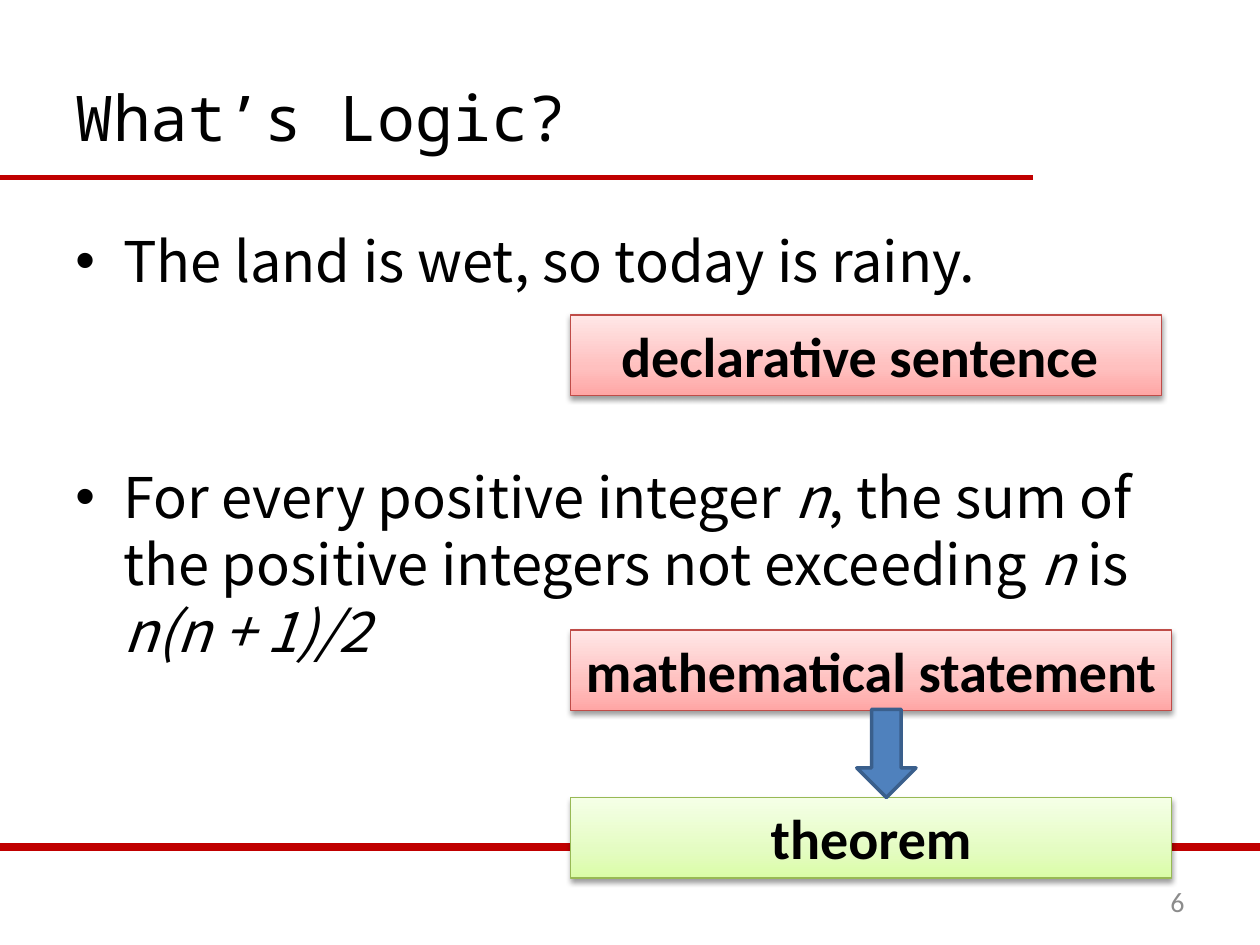
from lxml import etree
from pptx import Presentation, util as u
from pptx.dml import color
from pptx.enum import shapes, text
from pptx.oxml import ns

PX = 9144
RED, BLACK = "C00000", "000000"
BODY_FONT, LABEL_FONT = "Noto Sans CJK SC", "Calibri"
PINK = ("FFA6A5", "FFC0BF", "FFE7E7")
GREEN = ("DAFDA7", "E4FCC2", "F5FFE7")


def px(*lengths):
    return [u.Emu(length * PX) for length in lengths]


def paint(target, value):
    target.rgb = color.RGBColor.from_string(value)


def add_element(parent, tag, **attributes):
    element = etree.SubElement(parent, ns.qn(tag))
    for name, value in attributes.items():
        element.set(name, str(value))
    return element


def style(span, size, font, tint=BLACK, bold=False, italic=False):
    span.font.size = u.Pt(size)
    span.font.name = font
    span.font.bold = bold
    span.font.italic = italic
    paint(span.font.color, tint)


def add_line(page, width, y, weight):
    line = page.shapes.add_connector(shapes.MSO_CONNECTOR.STRAIGHT, *px(0, y, width, y))
    paint(line.line.color, RED)
    line.line.width = u.Pt(weight)
    add_element(line._element.spPr, "a:effectLst")


def add_text(page, box, words, size, font, tint=BLACK, align=text.PP_ALIGN.LEFT):
    shape = page.shapes.add_textbox(*px(*box))
    frame = shape.text_frame
    frame.word_wrap = True
    frame.vertical_anchor = text.MSO_ANCHOR.MIDDLE
    frame.text = words
    para = frame.paragraphs[0]
    para.alignment = align
    style(para.runs[0], size, font, tint)


def add_bullets(page, box, items):
    frame = page.shapes.add_textbox(*px(*box)).text_frame
    frame.word_wrap = True
    for index, (gap, spans) in enumerate(items):
        para = frame.add_paragraph() if index else frame.paragraphs[0]
        para.space_before = u.Pt(gap)
        para.line_spacing = u.Pt(38.5)
        properties = para._p.get_or_add_pPr()
        properties.set("marL", str(38 * PX))
        properties.set("indent", str(-38 * PX))
        add_element(properties, "a:buFont", typeface="Arial")
        add_element(properties, "a:buChar", char="•")
        for words, italic in spans:
            span = para.add_run()
            span.text = words
            style(span, 32, BODY_FONT, italic=italic)


def add_label(page, box, words, tints, edge, wrap=True):
    label = page.shapes.add_shape(shapes.MSO_SHAPE.RECTANGLE, *px(*box))
    label.fill.gradient()
    label.fill.gradient_angle = 90
    stops = label._element.spPr.find(".//" + ns.qn("a:gsLst"))
    for stop in list(stops):
        stops.remove(stop)
    for position, tint in zip((0, 35000, 100000), tints):
        add_element(add_element(stops, "a:gs", pos=position), "a:srgbClr", val=tint)
    paint(label.line.color, edge)
    label.line.width = u.Pt(0.75)
    label.shadow.inherit = False
    effects = label._element.spPr.find(ns.qn("a:effectLst"))
    shadow = add_element(effects, "a:outerShdw", blurRad=40000, dist=20000,
                         dir=5400000, rotWithShape=0)
    add_element(add_element(shadow, "a:srgbClr", val=BLACK), "a:alpha", val=38000)
    frame = label.text_frame
    frame.word_wrap = wrap
    frame.vertical_anchor = text.MSO_ANCHOR.TOP
    frame.text = words
    frame.paragraphs[0].alignment = text.PP_ALIGN.CENTER
    style(frame.paragraphs[0].runs[0], 32, LABEL_FONT, bold=True)


def add_arrow(page, box):
    arrow = page.shapes.add_shape(shapes.MSO_SHAPE.DOWN_ARROW, *px(*box))
    arrow.shadow.inherit = False
    arrow.fill.solid()
    paint(arrow.fill.fore_color, "4F81BD")
    paint(arrow.line.color, "3A5F8C")
    arrow.line.width = u.Pt(2)


def main():
    deck = Presentation()
    deck.slide_width, deck.slide_height = px(1000, 750)
    page = deck.slides.add_slide(deck.slide_layouts[6])
    add_line(page, 820, 141, 3)
    add_line(page, 1000, 672, 4.5)
    add_text(page, (50, 30, 900, 125), "What’s Logic?", 36, "Noto Sans Mono")
    add_bullets(page, (50, 175, 900, 495), [
        (6.4, [("The land is wet, so today is rainy.", False)]),
        (96, [("For every positive integer ", False), ("n", True),
              (", the sum of the positive integers not exceeding ", False),
              ("n ", True), ("is ", False), ("n(n + 1)/2", True)]),
    ])
    add_text(page, (717, 695, 233, 40), "6", 16, LABEL_FONT, "8C8C8C", text.PP_ALIGN.RIGHT)
    add_label(page, (453, 250, 469, 64), "declarative sentence ", PINK, "BF4C48")
    add_label(page, (453, 500, 477, 64), "mathematical statement", PINK, "BF4C48", wrap=False)
    add_label(page, (453, 633, 477, 64), "theorem", GREEN, "98B955")
    add_arrow(page, (680, 563, 47, 70))
    deck.save("out.pptx")


if __name__ == "__main__":
    main()
